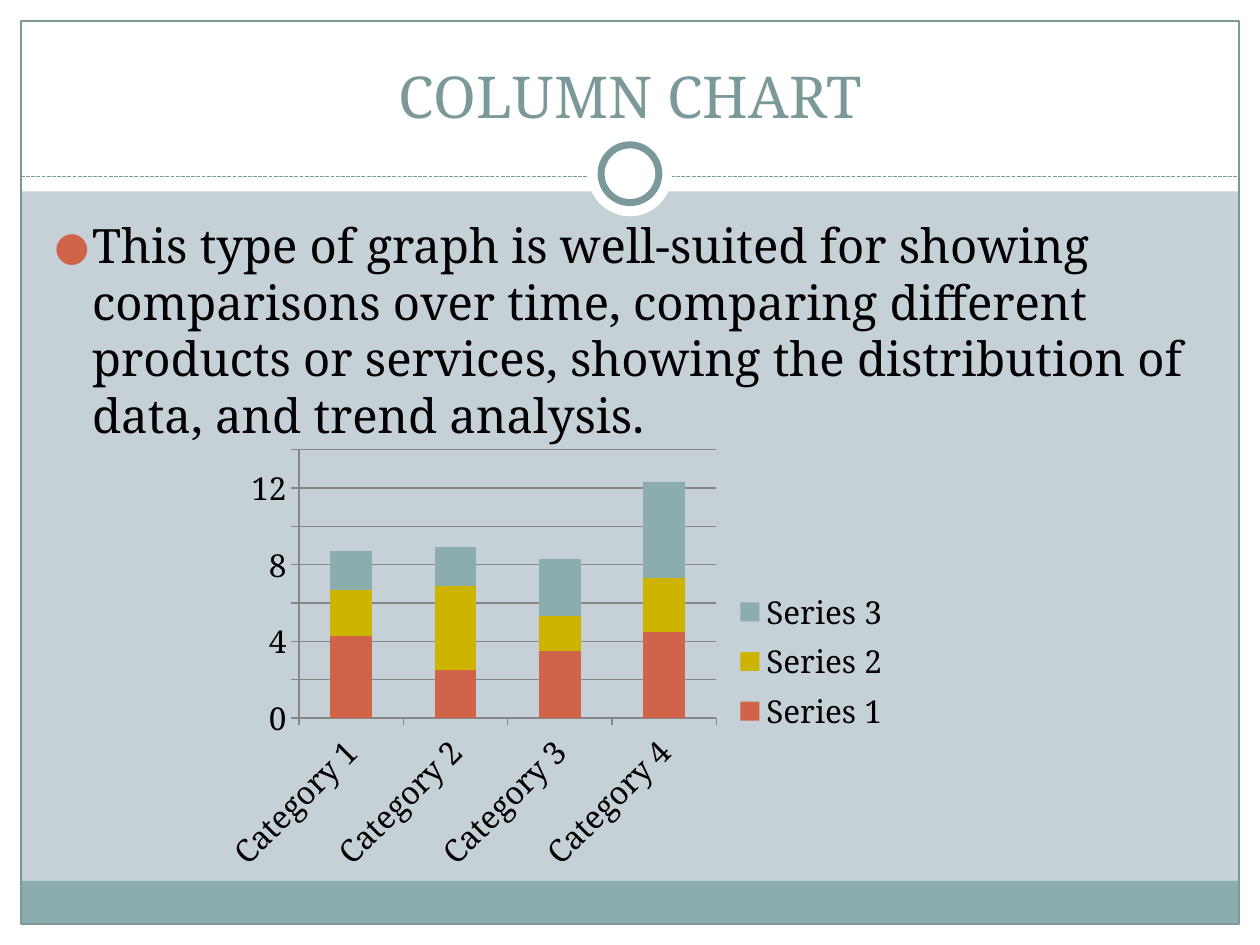
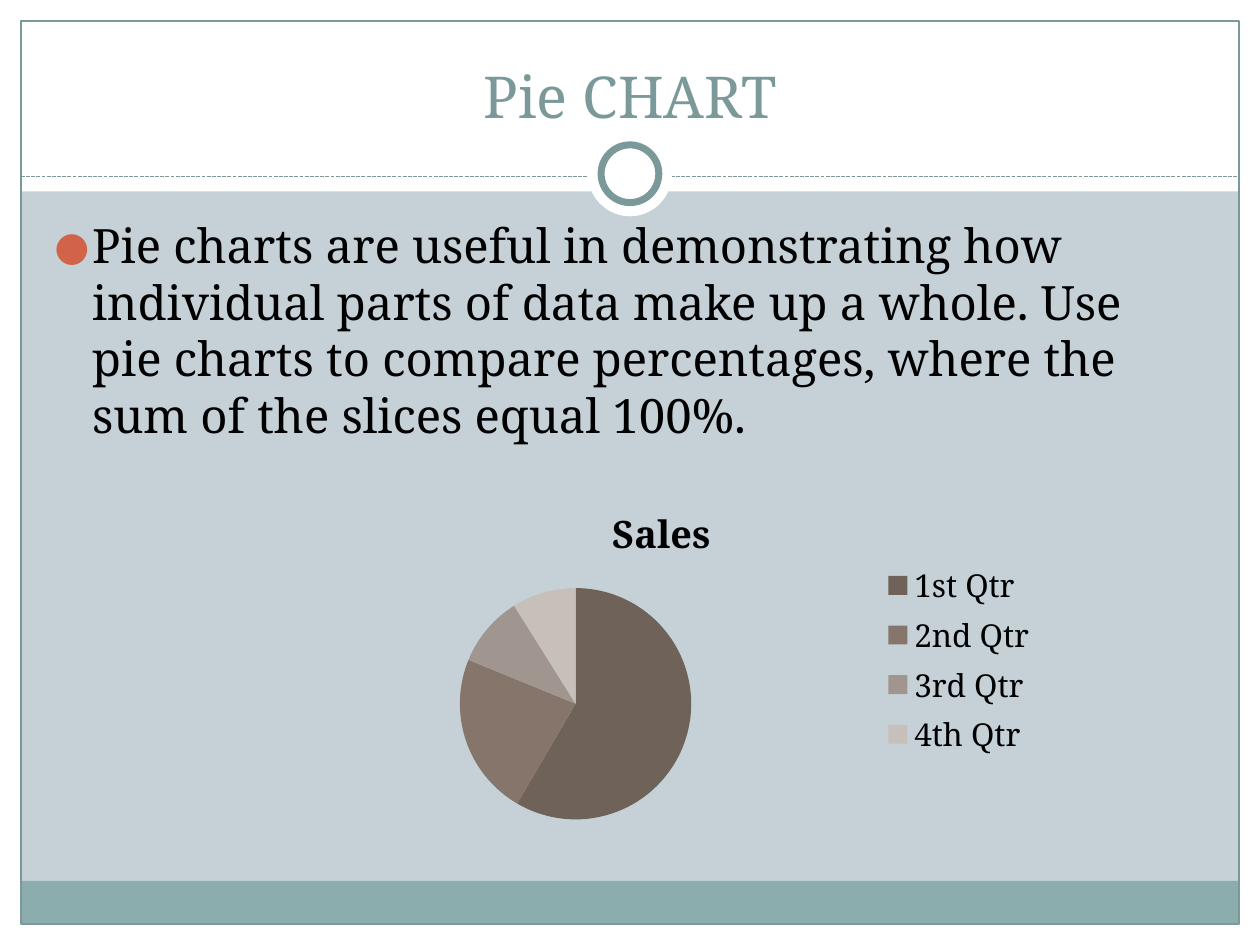
from dataclasses import dataclass

from lxml.etree import SubElement
from pptx import Presentation
from pptx.chart.data import CategoryChartData
from pptx.dml.color import RGBColor as Rgb
from pptx.enum.chart import XL_CHART_TYPE as Kind, XL_LEGEND_POSITION as Side
from pptx.enum.chart import XL_TICK_MARK as Tick
from pptx.enum.dml import MSO_LINE as Dash
from pptx.enum.shapes import MSO_CONNECTOR as Link, MSO_SHAPE as Geo
from pptx.enum.text import MSO_ANCHOR as Anchor, PP_ALIGN as Align
from pptx.oxml.ns import qn
from pptx.util import Inches, Pt


@dataclass(frozen=True)
class Theme:
    font: str = "Noto Serif"
    back: str = "C5D1D7"
    paper: str = "FFFFFF"
    ink: str = "000000"
    edge: str = "7C999A"
    band: str = "8CADAE"
    dot: str = "D16349"
    grid: str = "868686"
    bars: tuple = ("D16349", "CCB400", "8CADAE")
    slices: tuple = ("6E6259", "85756A", "A1968F", "C6BFBA")
    head: float = 33
    body: float = 27
    label: float = 18
    title: float = 21.6
    thin: float = 0.75
    ring: float = 4


T = Theme()
COLS, ROWS = 60, 45
CELL = Inches(10) / COLS


def rgb(code):
    return Rgb.from_string(code)


def cells(*sizes):
    """Turn grid columns or rows into lengths."""
    return [round(size * CELL) for size in sizes]


def stroke(line, color, width=T.thin):
    line.color.rgb = rgb(color)
    line.width = Pt(width)


def style(font, size, color=T.ink, bold=False):
    font.name, font.size, font.bold = T.font, Pt(size), bold
    font.color.rgb = rgb(color)


def add_box(slide, box, fill=None, edge=None, width=T.thin, geo=Geo.RECTANGLE):
    shape = slide.shapes.add_shape(geo, *cells(*box))
    shape.shadow.inherit = False
    if fill:
        shape.fill.solid()
        shape.fill.fore_color.rgb = rgb(fill)
    else:
        shape.fill.background()
    if edge:
        stroke(shape.line, edge, width)
    else:
        shape.line.fill.background()


def add_disc(slide, top, size, **look):
    """Draw a circle centred across the slide."""
    add_box(slide, ((COLS - size) / 2, top, size, size), T.paper,
            geo=Geo.OVAL, **look)


def add_rule(slide, row):
    rule = slide.shapes.add_connector(
        Link.STRAIGHT, *cells(1, row, COLS - 1, row))
    stroke(rule.line, T.edge)
    rule.line.dash_style = Dash.SQUARE_DOT
    SubElement(rule._element.spPr, qn("a:effectLst"))


def add_dot(para):
    """Give a paragraph a round bullet and a hanging indent."""
    props = para._p.get_or_add_pPr()
    props.set("marL", str(Inches(0.3)))
    props.set("indent", str(-Inches(0.3)))
    color = SubElement(props, qn("a:buClr"))
    SubElement(color, qn("a:srgbClr"), val=T.dot)
    SubElement(props, qn("a:buSzPct"), val="85000")
    SubElement(props, qn("a:buFont"), typeface=T.font)
    SubElement(props, qn("a:buChar"), char="●")


def add_text(slide, box, text, size, color=T.ink, align=Align.LEFT,
             anchor=Anchor.TOP, bullet=False):
    frame = slide.shapes.add_textbox(*cells(*box)).text_frame
    frame.word_wrap = True
    frame.vertical_anchor = anchor
    para = frame.paragraphs[0]
    para.alignment = align
    if bullet:
        para.space_before = Pt(size * 0.2)
        add_dot(para)
    run = para.add_run()
    run.text = text
    style(run.font, size, color)


def add_page(deck, title, body):
    """Add a slide with the shared bands, frame, ring and text."""
    slide = deck.slides.add_slide(deck.slide_layouts[6])
    slide.background.fill.solid()
    slide.background.fill.fore_color.rgb = rgb(T.back)
    for box in ((0, ROWS - 1, COLS, 1), (0, 0, COLS, 9.12),
                (0, 0, 1, ROWS), (COLS - 1, 0, 1, ROWS)):
        add_box(slide, box, T.paper)
    add_box(slide, (1, 41.95, COLS - 2, 2.05), T.band)
    add_box(slide, (1, 1, COLS - 2, ROWS - 2), edge=T.edge)
    add_rule(slide, 8.4)
    add_disc(slide, 6.3, 4)
    add_disc(slide, 6.9, 2.75, edge=T.edge, width=T.ring)
    add_text(slide, (2, 1.5, 56, 5), title, T.head, T.edge,
             align=Align.CENTER, anchor=Anchor.BOTTOM)
    add_text(slide, (2, 10, 55.8, 30), body, T.body, bullet=True)
    return slide


def add_chart(slide, kind, box, names, series):
    data = CategoryChartData()
    data.categories = names
    for name, vals in series.items():
        data.add_series(name, vals)
    chart = slide.shapes.add_chart(kind, *cells(*box), data).chart
    style(chart.font, T.label)
    chart.has_title = False
    chart.has_legend = True
    chart.legend.position = Side.RIGHT
    chart.legend.include_in_layout = False
    return chart


def paint(parts, colors):
    """Fill series or points with colours in turn."""
    for part, color in zip(parts, colors):
        part.format.fill.solid()
        part.format.fill.fore_color.rgb = rgb(color)


def add_bars(slide, box, names, series):
    chart = add_chart(slide, Kind.COLUMN_STACKED, box, names, series)
    plot = chart.plots[0]
    plot.gap_width, plot.overlap = 150, 100
    plot.vary_by_categories = False
    paint(plot.series, T.bars)
    vals = chart.value_axis
    vals.minimum_scale, vals.maximum_scale, vals.major_unit = 0, 14, 2
    vals.has_major_gridlines = True
    stroke(vals.major_gridlines.format.line, T.grid)
    for axis in (vals, chart.category_axis):
        axis.major_tick_mark = Tick.OUTSIDE
        stroke(axis.format.line, T.grid)


def add_pie(slide, box, names, title, vals):
    chart = add_chart(slide, Kind.PIE, box, names, {title: vals})
    chart.has_title = True
    frame = chart.chart_title.text_frame
    frame.text = title
    style(frame.paragraphs[0].runs[0].font, T.title, bold=True)
    plot = chart.plots[0]
    plot.vary_by_categories = True
    points = plot.series[0].points
    paint([points[i] for i in range(len(vals))], T.slices)


def main():
    deck = Presentation()
    deck.slide_width, deck.slide_height = cells(COLS, ROWS)

    page = add_page(
        deck, "COLUMN CHART",
        "This type of graph is well-suited for showing comparisons over time, "
        "comparing different products or services, showing the distribution "
        "of data, and trend analysis.")
    add_bars(page, (10, 21, 33, 21), [f"Category {n}" for n in range(1, 5)],
             {"Series 1": (4.3, 2.5, 3.5, 4.5),
              "Series 2": (2.4, 4.4, 1.8, 2.8),
              "Series 3": (2, 2, 3, 5)})

    page = add_page(
        deck, "Pie CHART",
        "Pie charts are useful in demonstrating how individual parts of data "
        "make up a whole. Use pie charts to compare percentages, where the "
        "sum of the slices equal 100%.")
    add_pie(page, (13, 23, 37, 16.85),
            ("1st Qtr", "2nd Qtr", "3rd Qtr", "4th Qtr"),
            "Sales", (59, 23, 10, 9))

    deck.save("out.pptx")


if __name__ == "__main__":
    main()
